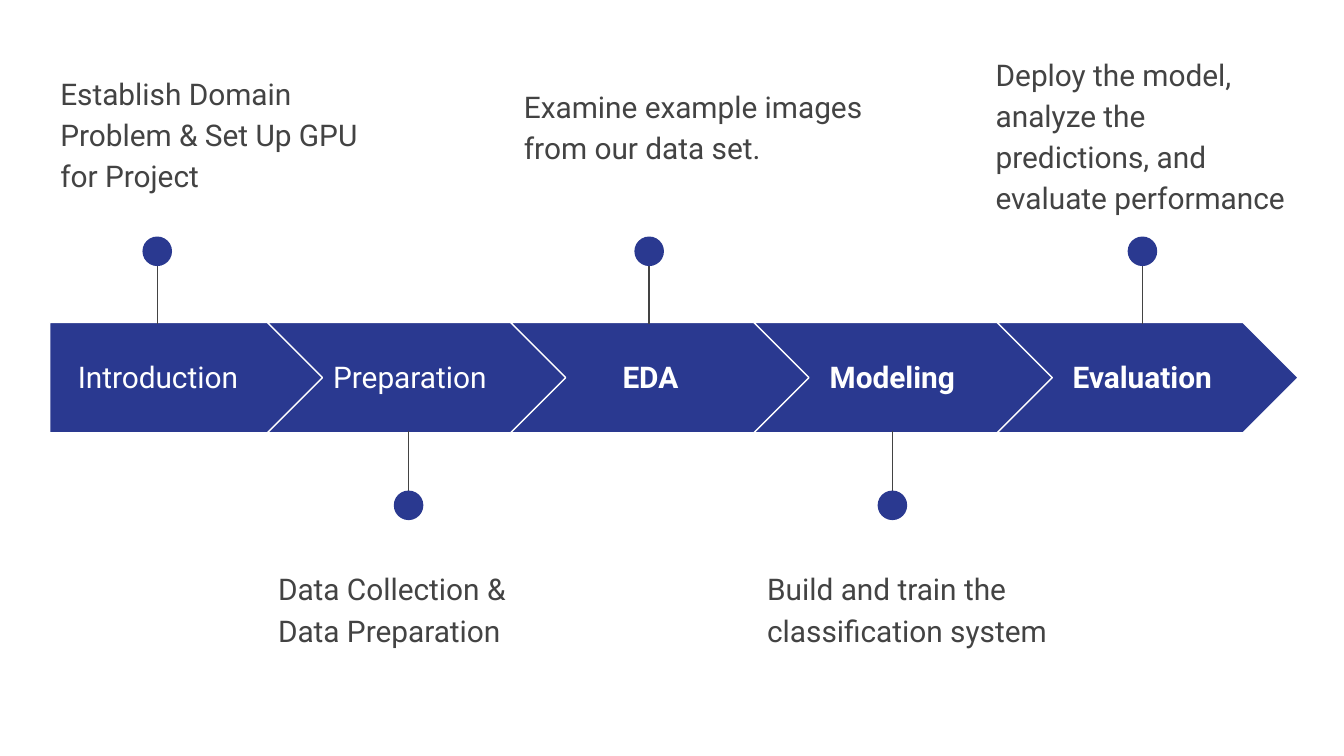
import pptx
import pptx.dml.color
import pptx.enum.shapes
import pptx.enum.text
import pptx.oxml
import pptx.oxml.ns
import pptx.util

Inches = pptx.util.Inches
Pt = pptx.util.Pt
MSO_SHAPE = pptx.enum.shapes.MSO_SHAPE
PP_ALIGN = pptx.enum.text.PP_ALIGN
MSO_ANCHOR = pptx.enum.text.MSO_ANCHOR

NAVY = pptx.dml.color.RGBColor(0x2A, 0x39, 0x90)
GRAY = pptx.dml.color.RGBColor(0x43, 0x43, 0x43)
WHITE = pptx.dml.color.RGBColor(0xFF, 0xFF, 0xFF)

BAND_TOP, BAND_HEIGHT = 2.4, 0.82
CHEVRON_LEFT, CHEVRON_STEP, CHEVRON_WIDTH = 1.99, 1.81, 2.24
LABEL_TOP, LABEL_HEIGHT = 2.55, 0.51
DOT = 0.22

STEPS = [
    ("Introduction", False, 0.38, 1.59, 1.17,
     "Establish Domain Problem & Set Up GPU for Project", (0.35, 0.42, 2.45, 0.99)),
    ("Preparation", False, 2.33, 1.44, 3.04,
     "Data Collection & Data Preparation", (1.97, 4.11, 2.05, 0.99)),
    ("EDA", True, 4.12, 1.44, 4.83,
     "Examine example images from our data set.", (3.8, 0.52, 2.92, 0.99)),
    ("Modeling", True, 5.92, 1.44, 6.64,
     "Build and train the classification system", (5.61, 4.11, 2.45, 0.99)),
    ("Evaluation", True, 7.78, 1.44, 8.5,
     "Deploy the model, analyze the predictions, and evaluate performance",
     (7.31, 0.28, 2.45, 1.34)),
]


def add_shape(s, kind, box, line=None):
    """Add a navy shape, outlined only when a line colour is given."""
    sp = s.shapes.add_shape(kind, *map(Inches, box))
    sp.shadow.inherit = False
    sp.fill.solid()
    sp.fill.fore_color.rgb = NAVY
    if line is None:
        sp.line.fill.background()
    else:
        sp.line.color.rgb = line
        sp.line.width = Pt(0.75)


def add_text(s, text, box, color, bold=False):
    """Add a wrapped 16 pt text box and return its text frame."""
    tf = s.shapes.add_textbox(*map(Inches, box)).text_frame
    tf.word_wrap = True
    tf.margin_left = tf.margin_right = Inches(0.1)
    tf.margin_top = tf.margin_bottom = Inches(0.1)
    tf.text = text
    font = tf.paragraphs[0].runs[0].font
    font.name = "Roboto"
    font.size = Pt(16)
    font.bold = bold
    font.color.rgb = color
    return tf


def add_label(s, text, left, width, bold):
    """Add a centred step name on the band."""
    tf = add_text(s, text, (left, LABEL_TOP, width, LABEL_HEIGHT), WHITE, bold)
    tf.vertical_anchor = MSO_ANCHOR.MIDDLE
    tf.paragraphs[0].alignment = PP_ALIGN.CENTER


def add_note(s, text, box):
    """Add a description of a step."""
    p = add_text(s, text, box, GRAY).paragraphs[0]
    p.line_spacing = 1.15
    p.space_after = Pt(16)


def add_pin(s, x, above):
    """Add a line from the band that ends in a dot."""
    start, end, dot_top = (1.8, 2.41, 1.76) if above else (3.82, 3.21, 3.65)
    line = s.shapes.add_connector(
        pptx.enum.shapes.MSO_CONNECTOR.STRAIGHT,
        Inches(x), Inches(start), Inches(x), Inches(end))
    line.line.color.rgb = GRAY
    line.line.width = Pt(0.75)
    effects = pptx.oxml.parse_xml(
        "<a:effectLst %s/>" % pptx.oxml.ns.nsdecls("a"))
    line._element.spPr.append(effects)
    add_shape(s, MSO_SHAPE.OVAL, (x - DOT / 2, dot_top, DOT, DOT))


def add_arrow(s, i):
    """Add the band segment of step i."""
    if i == 0:
        kind, left, width = MSO_SHAPE.PENTAGON, 0.37, 2.05
    else:
        kind, width = MSO_SHAPE.CHEVRON, CHEVRON_WIDTH
        left = CHEVRON_LEFT + CHEVRON_STEP * (i - 1)
    add_shape(s, kind, (left, BAND_TOP, width, BAND_HEIGHT), WHITE)


def main():
    """Build the project timeline slide."""
    prs = pptx.Presentation()
    prs.slide_width = Inches(10)
    prs.slide_height = Inches(10 * 9 / 16)
    s = prs.slides.add_slide(prs.slide_layouts[6])
    for i, (name, bold, left, width, x, note, box) in enumerate(STEPS):
        add_arrow(s, i)
        add_label(s, name, left, width, bold)
        add_pin(s, x, above=i % 2 == 0)
        add_note(s, note, box)
    prs.save("out.pptx")


if __name__ == "__main__":
    main()
